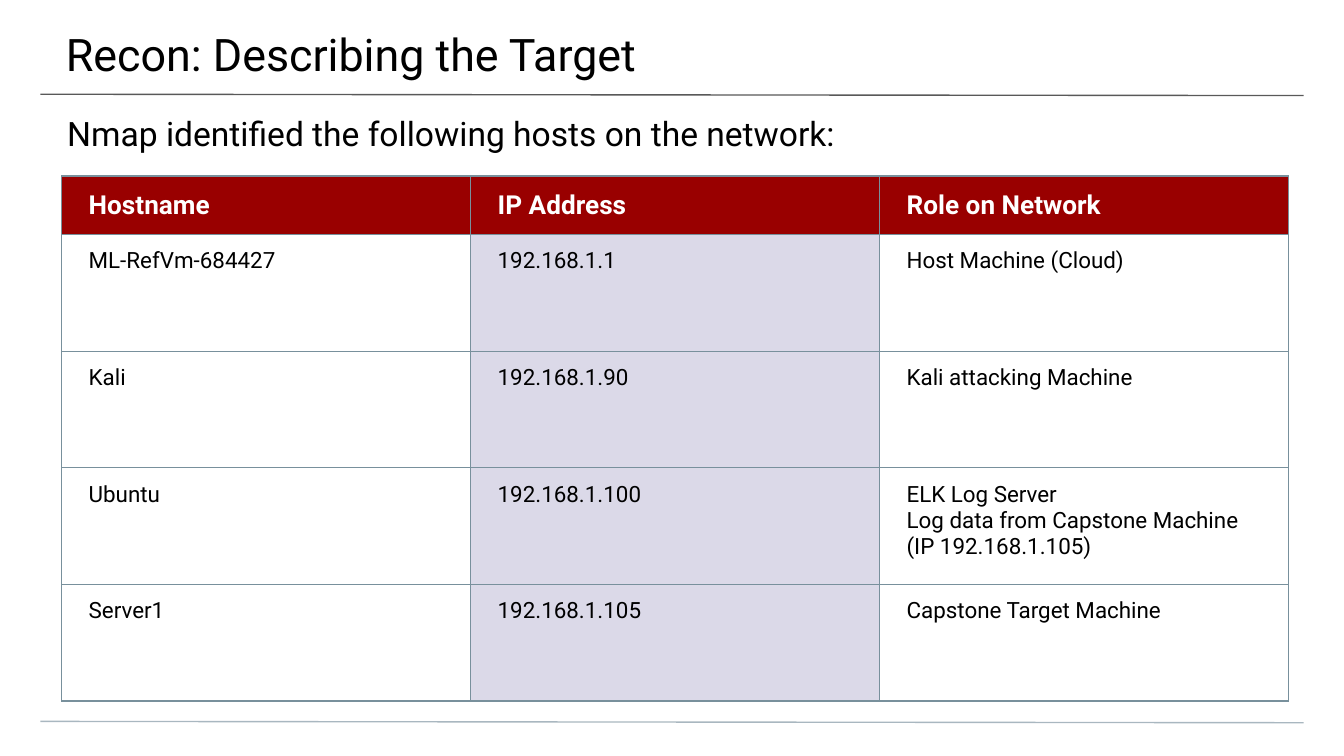
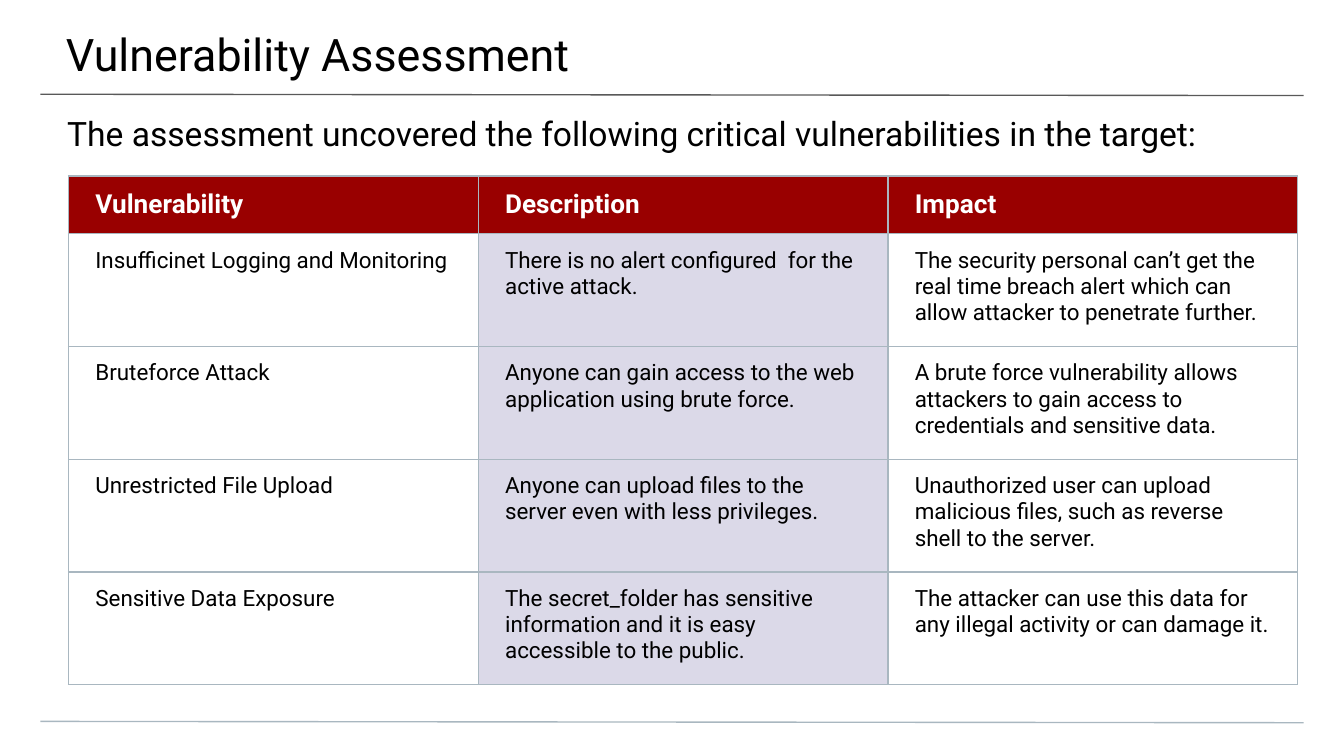
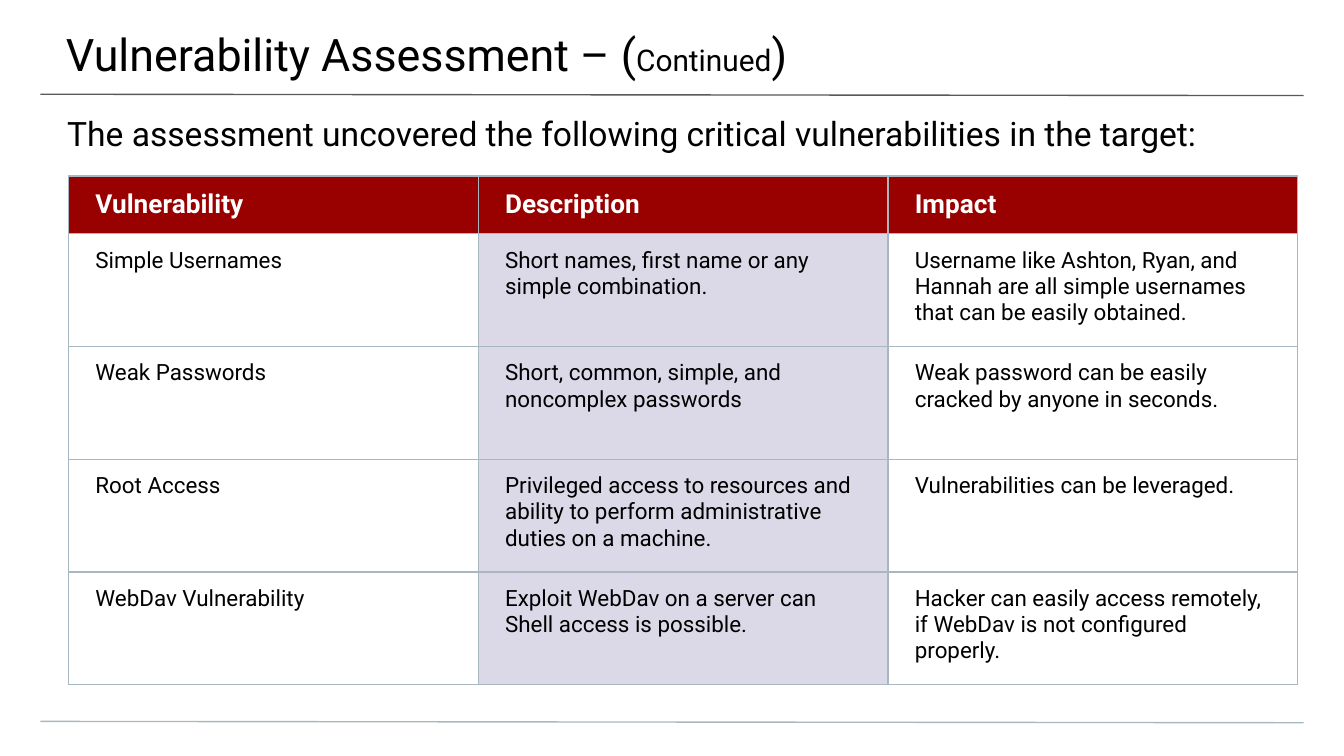
"""Build three security assessment slides, each with a title, a lead line and a table."""
from dataclasses import dataclass
from typing import NamedTuple

from lxml.etree import SubElement
from pptx import Presentation
from pptx.dml.color import RGBColor
from pptx.enum.shapes import MSO_CONNECTOR, PP_PLACEHOLDER
from pptx.enum.text import MSO_ANCHOR, MSO_AUTO_SIZE, PP_ALIGN
from pptx.oxml.ns import qn
from pptx.util import Pt

COLORS = {
    "text": "000000",
    "header_text": "FFFFFF",
    "header": "990000",
    "middle_column": "DBD9E8",
    "title_rule": "595959",
    "pale_rule": "A9B7C0",
    "host_border": "78909C",
}
FONT = "Roboto"
RULE_WIDTH = 0.75
TABLE_TOP = 94.3
CELL_INSETS = (14.4, 7.2, 14.4, 7.2)


class Rule(NamedTuple):
    start: tuple[float, float]
    end: tuple[float, float]
    color: str


class TextRun(NamedTuple):
    text: str
    size: float
    color: str = "text"
    bold: bool = False


class TextBand(NamedTuple):
    box: tuple[float, float, float, float]
    insets: tuple[float, float, float, float]


@dataclass(frozen=True)
class TableStyle:
    left: float
    column_width: float
    header_height: float
    row_height: float
    border: str


@dataclass(frozen=True)
class TableSlide:
    title: list[TextRun]
    lead: str
    style: TableStyle
    rows: list[tuple[str, str, str]]


RULES = [
    Rule((21.6, 50.5), (698.4, 51.2), "title_rule"),
    Rule((21.6, 386.5), (698.4, 387.2), "pale_rule"),
]
TITLE_BAND = TextBand((-0.7, 0, 722, 42), (36, 14.4, 21.6, 7.2))
LEAD_BAND = TextBand((0, 53.3, 720, 28.8), (36, 7.2, 36, 0))

HOST_STYLE = TableStyle(33.1, 219.1, 31.4, 62.5, "host_border")
VULNERABILITY_STYLE = TableStyle(36.7, 219.5, 31, 60.4, "pale_rule")
VULNERABILITY_LEAD = "The assessment uncovered the following critical vulnerabilities in the target:"
VULNERABILITY_HEADER = ("Vulnerability", "Description", "Impact")

SLIDES = [
    TableSlide(
        [TextRun("Recon: Describing the Target", 24)],
        "Nmap identified the following hosts on the network:",
        HOST_STYLE,
        [
            ("Hostname", "IP Address", "Role on Network"),
            ("ML-RefVm-684427", "192.168.1.1", "Host Machine (Cloud)"),
            ("Kali", "192.168.1.90", "Kali attacking Machine"),
            ("Ubuntu", "192.168.1.100",
             "ELK Log Server\nLog data from Capstone Machine\n(IP 192.168.1.105)"),
            ("Server1", "192.168.1.105", "Capstone Target Machine"),
        ],
    ),
    TableSlide(
        [TextRun("Vulnerability Assessment", 24)],
        VULNERABILITY_LEAD,
        VULNERABILITY_STYLE,
        [
            VULNERABILITY_HEADER,
            ("Insufficinet Logging and Monitoring",
             "There is no alert configured  for the active attack.",
             "The security personal can’t get the real time breach alert which can "
             "allow attacker to penetrate further."),
            ("Bruteforce Attack",
             "Anyone can gain access to the web application using brute force.",
             "A brute force vulnerability allows attackers to gain access to "
             "credentials and sensitive data."),
            ("Unrestricted File Upload",
             "Anyone can upload files to the server even with less privileges.",
             "Unauthorized user can upload malicious files, such as reverse shell "
             "to the server."),
            ("Sensitive Data Exposure",
             "The secret_folder has sensitive information and it is easy accessible "
             "to the public.",
             "The attacker can use this data for any illegal activity or can damage it."),
        ],
    ),
    TableSlide(
        [TextRun("Vulnerability Assessment – (", 24), TextRun("Continued", 16), TextRun(")", 24)],
        VULNERABILITY_LEAD,
        VULNERABILITY_STYLE,
        [
            VULNERABILITY_HEADER,
            ("Simple Usernames",
             "Short names, first name or any simple combination.",
             "Username like Ashton, Ryan, and Hannah are all simple usernames that "
             "can be easily obtained."),
            ("Weak Passwords",
             "Short, common, simple, and noncomplex passwords",
             "Weak password can be easily cracked by anyone in seconds."),
            ("Root Access",
             "Privileged access to resources and ability to perform administrative "
             "duties on a machine.",
             "Vulnerabilities can be leveraged."),
            ("WebDav Vulnerability",
             "Exploit WebDav on a server can Shell access is possible.",
             "Hacker can easily access remotely, if WebDav is not configured properly."),
        ],
    ),
]


def rgb(name: str) -> RGBColor:
    return RGBColor.from_string(COLORS[name])


def add_runs(paragraph, runs: list[TextRun]) -> None:
    paragraph.alignment = PP_ALIGN.LEFT
    paragraph.space_before = Pt(0)
    for text_run in runs:
        run = paragraph.add_run()
        run.text = text_run.text
        run.font.name = FONT
        run.font.size = Pt(text_run.size)
        run.font.bold = text_run.bold
        run.font.color.rgb = rgb(text_run.color)


def set_insets(target, insets: tuple[float, float, float, float]) -> None:
    (target.margin_left, target.margin_top,
     target.margin_right, target.margin_bottom) = map(Pt, insets)


def fill_placeholder(placeholder, band: TextBand, runs: list[TextRun]) -> None:
    (placeholder.left, placeholder.top,
     placeholder.width, placeholder.height) = map(Pt, band.box)
    frame = placeholder.text_frame
    set_insets(frame, band.insets)
    frame.word_wrap = True
    frame.auto_size = MSO_AUTO_SIZE.NONE
    frame.vertical_anchor = MSO_ANCHOR.TOP
    add_runs(frame.paragraphs[0], runs)


def add_rule(slide, rule: Rule):
    connector = slide.shapes.add_connector(
        MSO_CONNECTOR.STRAIGHT, *map(Pt, rule.start + rule.end))
    connector.line.color.rgb = rgb(rule.color)
    connector.line.width = Pt(RULE_WIDTH)
    SubElement(connector.element.spPr, qn("a:effectLst"))
    return connector


def set_borders(cell, color: str) -> None:
    properties = cell._tc.get_or_add_tcPr()
    for index, side in enumerate(("lnL", "lnR", "lnT", "lnB")):
        line = properties.makeelement(qn(f"a:{side}"), {"w": str(Pt(RULE_WIDTH))})
        solid = SubElement(line, qn("a:solidFill"))
        SubElement(solid, qn("a:srgbClr"), val=COLORS[color])
        properties.insert(index, line)


def fill_cell(cell, text: str, is_header: bool, is_middle: bool) -> None:
    set_insets(cell, CELL_INSETS)
    cell.vertical_anchor = MSO_ANCHOR.MIDDLE if is_header else MSO_ANCHOR.TOP
    if is_header or is_middle:
        cell.fill.solid()
        cell.fill.fore_color.rgb = rgb("header" if is_header else "middle_column")
    else:
        cell.fill.background()
    frame = cell.text_frame
    for index, line in enumerate(text.split("\n")):
        paragraph = frame.add_paragraph() if index else frame.paragraphs[0]
        run = TextRun(line, 14, "header_text", True) if is_header else TextRun(line, 12)
        add_runs(paragraph, [run])


def add_grid(slide, style: TableStyle, rows: list[tuple[str, str, str]]) -> None:
    column_count = len(rows[0])
    height = style.header_height + style.row_height * (len(rows) - 1)
    table = slide.shapes.add_table(
        len(rows), column_count, Pt(style.left), Pt(TABLE_TOP),
        Pt(style.column_width * column_count), Pt(height)).table
    table.first_row = False
    table.horz_banding = False
    for column in table.columns:
        column.width = Pt(style.column_width)
    for row_index, texts in enumerate(rows):
        is_header = row_index == 0
        table.rows[row_index].height = Pt(style.header_height if is_header else style.row_height)
        for column_index, text in enumerate(texts):
            cell = table.cell(row_index, column_index)
            fill_cell(cell, text, is_header, column_index == 1)
            set_borders(cell, style.border)


def share_rules(slide) -> None:
    layout = slide.slide_layout
    footers = (PP_PLACEHOLDER.DATE, PP_PLACEHOLDER.FOOTER, PP_PLACEHOLDER.SLIDE_NUMBER)
    for placeholder in list(layout.placeholders):
        if placeholder.placeholder_format.type in footers:
            layout.shapes.element.remove(placeholder.element)
    for connector in [add_rule(slide, rule) for rule in RULES]:
        layout.shapes.element.append(connector.element)


def main() -> None:
    presentation = Presentation()
    presentation.slide_width, presentation.slide_height = Pt(720), Pt(405)
    layout = presentation.slide_layouts[0]
    for number, content in enumerate(SLIDES):
        slide = presentation.slides.add_slide(layout)
        if number == 0:
            share_rules(slide)
        fill_placeholder(slide.shapes.title, TITLE_BAND, content.title)
        fill_placeholder(slide.placeholders[1], LEAD_BAND, [TextRun(content.lead, 18)])
        add_grid(slide, content.style, content.rows)
    presentation.save("out.pptx")


if __name__ == "__main__":
    main()
